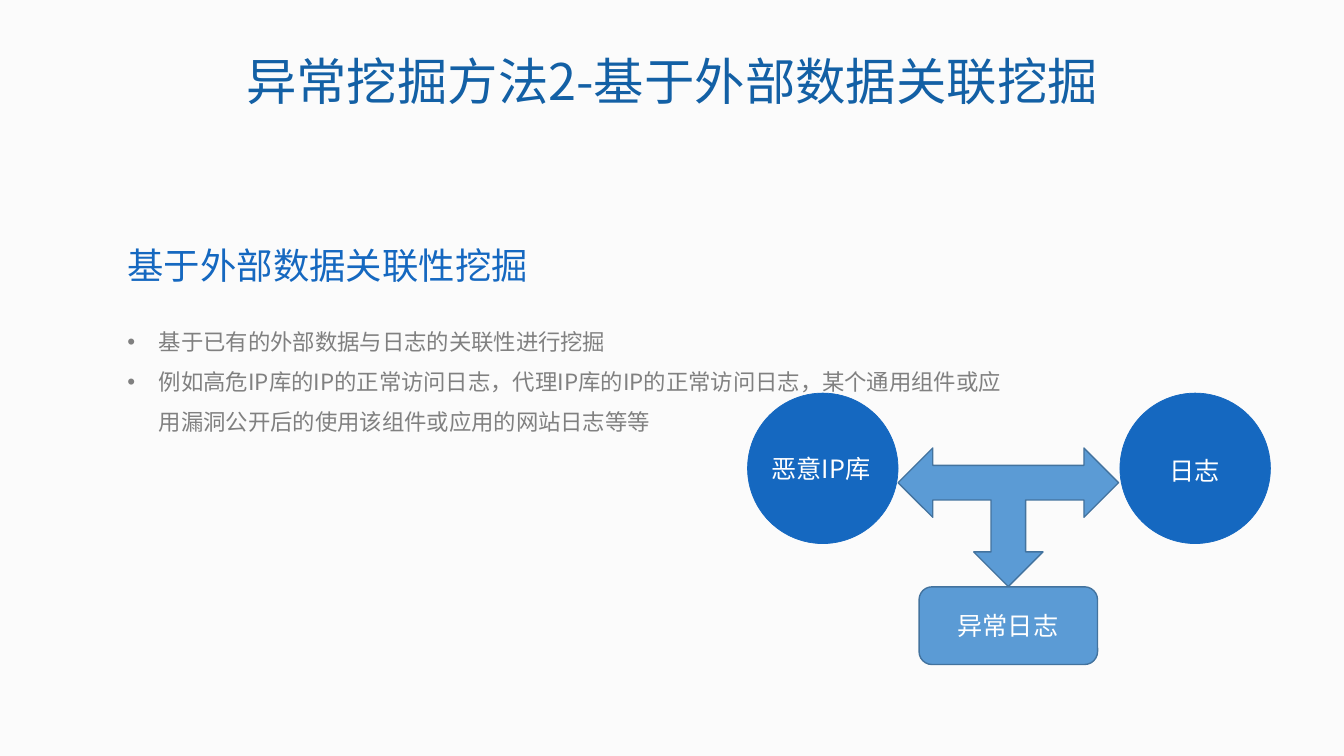
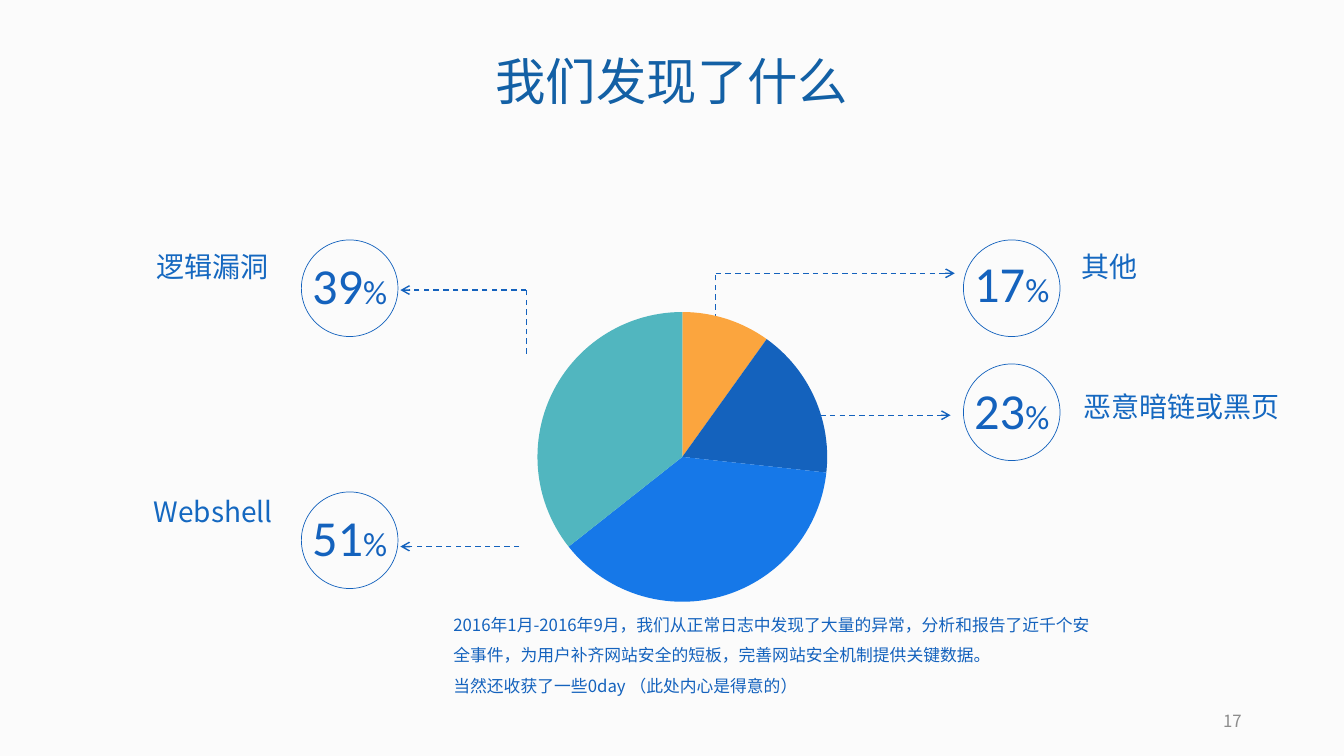
import dataclasses

import pptx
import pptx.chart.data
import pptx.dml.color
import pptx.enum.chart
import pptx.enum.dml
import pptx.enum.shapes
import pptx.enum.text
import pptx.oxml
import pptx.oxml.ns
import pptx.util

Pt = pptx.util.Pt
Align = pptx.enum.text.PP_ALIGN
Anchor = pptx.enum.text.MSO_ANCHOR
Shape = pptx.enum.shapes.MSO_SHAPE


@dataclasses.dataclass(frozen=True)
class Theme:
    background: str = "FBFBFB"
    title: str = "1360A5"
    primary: str = "1568C0"
    accent: str = "1462BD"
    result: str = "5B9BD5"
    result_edge: str = "43739E"
    body: str = "808080"
    footer: str = "8C8C8C"
    white: str = "FFFFFF"
    slices: tuple = ("FBA53E", "1462BD", "1678E8", "51B6BF")
    font: str = "Noto Sans CJK SC"
    number_font: str = "Calibri"
    title_size: int = 36
    heading_size: int = 26
    percent_sign_size: int = 24
    label_size: int = 20
    node_size: int = 18
    body_size: int = 16
    note_size: int = 12


THEME = Theme()


def rgb(color):
    return pptx.dml.color.RGBColor.from_string(color)


def add_xml(parent, tag, **attributes):
    element = pptx.oxml.parse_xml(f"<a:{tag} {pptx.oxml.ns.nsdecls('a')}/>")
    for name, value in attributes.items():
        element.set(name, str(value))
    parent.append(element)
    return element


def style_run(run, size, color, font=THEME.font):
    run.font.size = Pt(size)
    run.font.color.rgb = rgb(color)
    run.font.name = font
    add_xml(run.font._element, "ea", typeface=font)


def add_text(slide, box, lines, size, color, align=Align.LEFT,
             anchor=Anchor.TOP, spacing=None, wrap=True):
    frame = slide.shapes.add_textbox(*map(Pt, box)).text_frame
    frame.text = lines
    frame.word_wrap = wrap
    frame.vertical_anchor = anchor
    for paragraph in frame.paragraphs:
        paragraph.alignment = align
        paragraph.line_spacing = spacing
        for run in paragraph.runs:
            style_run(run, size, color)
    return frame


def add_figure(slide, kind, box, fill, edge, width):
    figure = slide.shapes.add_shape(kind, *map(Pt, box))
    figure.shadow.inherit = False
    if fill:
        figure.fill.solid()
        figure.fill.fore_color.rgb = rgb(fill)
    else:
        figure.fill.background()
    figure.line.color.rgb = rgb(edge)
    figure.line.width = Pt(width)
    return figure


def add_leader(slide, *points):
    for index, (start, end) in enumerate(zip(points, points[1:]), 1):
        leader = slide.shapes.add_connector(
            pptx.enum.shapes.MSO_CONNECTOR.STRAIGHT, *map(Pt, start + end))
        leader.line.color.rgb = rgb(THEME.accent)
        leader.line.width = Pt(1)
        leader.line.dash_style = pptx.enum.dml.MSO_LINE.DASH
        if index == len(points) - 1:
            add_xml(leader.line._get_or_add_ln(), "tailEnd", type="arrow")
        add_xml(leader._element.spPr, "effectLst")


def add_percent(slide, left, top, drop, value):
    diameter = 69
    add_figure(slide, Shape.OVAL, (left, top, diameter, diameter),
               None, THEME.accent, 0.5)
    frame = add_text(slide, (left, top + drop, diameter, 51), value,
                     THEME.title_size, THEME.accent, Align.CENTER, wrap=False)
    paragraph = frame.paragraphs[0]
    paragraph.add_run().text = "%"
    sizes = (THEME.title_size, THEME.percent_sign_size)
    for run, size in zip(paragraph.runs, sizes):
        for east_asian in run.font._element.findall(pptx.oxml.ns.qn("a:ea")):
            run.font._element.remove(east_asian)
        style_run(run, size, THEME.accent, THEME.number_font)


def add_bullets(frame, items):
    for item in items:
        paragraph = frame.add_paragraph()
        paragraph.text = item
        paragraph.line_spacing = 1.5
        style_run(paragraph.runs[0], THEME.body_size, THEME.body)
        properties = paragraph._p.get_or_add_pPr()
        properties.set("marL", str(Pt(22.5)))
        properties.set("indent", str(-Pt(22.5)))
        add_xml(properties, "buFont", typeface="Arial")
        add_xml(properties, "buChar", char="•")


def add_pie(slide, box, values):
    data = pptx.chart.data.CategoryChartData()
    data.categories = [str(number) for number in range(1, len(values) + 1)]
    data.add_series("Series 1", values)
    chart = slide.shapes.add_chart(
        pptx.enum.chart.XL_CHART_TYPE.PIE, *map(Pt, box), data).chart
    chart.has_legend = False
    chart.has_title = False
    chart.font.name = THEME.number_font
    chart.font.size = Pt(THEME.node_size)
    chart.font.color.rgb = rgb("000000")
    plot = chart.plots[0]
    plot.vary_by_categories = True
    for index, color in enumerate(THEME.slices):
        slice_format = plot.series[0].points[index].format
        slice_format.fill.solid()
        slice_format.fill.fore_color.rgb = rgb(color)
        slice_format.line.fill.background()
    set_plot_area(chart, 0.2, 0.04, 0.61, 0.91)


def set_plot_area(chart, x, y, w, h):
    area = chart._chartSpace.chart.plotArea
    for old in area.findall(pptx.oxml.ns.qn("c:layout")):
        area.remove(old)
    places = "".join(f'<c:{name} val="{value}"/>' for name, value in
                     (("x", x), ("y", y), ("w", w), ("h", h)))
    area.insert(0, pptx.oxml.parse_xml(
        f"<c:layout {pptx.oxml.ns.nsdecls('c')}><c:manualLayout>"
        '<c:layoutTarget val="inner"/><c:xMode val="edge"/>'
        f'<c:yMode val="edge"/>{places}</c:manualLayout></c:layout>'))


def add_slide(deck, title):
    slide = deck.slides.add_slide(deck.slide_layouts[6])
    slide.background.fill.solid()
    slide.background.fill.fore_color.rgb = rgb(THEME.background)
    add_text(slide, (66, 28.8, 828, 62.6), title, THEME.title_size,
             THEME.title, Align.CENTER, Anchor.MIDDLE, 0.9)
    return slide


def build_correlation(deck):
    slide = add_slide(deck, "异常挖掘方法2-基于外部数据关联挖掘")
    frame = add_text(slide, (84, 170, 648, 165), "基于外部数据关联性挖掘",
                     THEME.heading_size, THEME.primary)
    frame.paragraphs[0].space_after = Pt(20)
    add_bullets(frame, (
        "基于已有的外部数据与日志的关联性进行挖掘",
        "例如高危IP库的IP的正常访问日志，代理IP库的IP的正常访问日志，"
        "某个通用组件或应用漏洞公开后的使用该组件或应用的网站日志等等",
    ))
    for left in (534, 800):
        add_figure(slide, Shape.OVAL, (left, 280.8, 107.5, 107.5),
                   THEME.primary, THEME.primary, 0.5)
    arrow = add_figure(slide, Shape.LEFT_RIGHT_UP_ARROW,
                       (641.5, 320, 157.5, 99),
                       THEME.result, THEME.result_edge, 1)
    arrow.rotation = 180
    add_figure(slide, Shape.ROUNDED_RECTANGLE, (656.5, 419.2, 127.5, 55.5),
               THEME.result, THEME.result_edge, 1)
    for box, label, wrap in (
        ((544, 320.4, 87, 29), "恶意IP库", True),
        ((828, 321.8, 51, 29), "日志", False),
        ((676.8, 432.7, 87, 29), "异常日志", False),
    ):
        add_text(slide, box, label, THEME.node_size, THEME.white, wrap=wrap)


def build_findings(deck):
    slide = add_slide(deck, "我们发现了什么")
    add_text(slide, (678, 500.5, 216, 28.8), "17", THEME.note_size,
             THEME.footer, Align.RIGHT, Anchor.MIDDLE)
    for route in (
        ((511.2, 242), (511.2, 195.2), (682, 195.2)),
        ((558, 296.6), (679, 296.6)),
        ((376, 252.7), (376, 207.2), (286, 207.2)),
        ((371, 390.4), (286, 390.4)),
    ):
        add_leader(slide, *route)
    for left, top, drop, value in (
        (688.2, 171.4, 5, "17"),
        (688.2, 260, 7, "23"),
        (215.3, 171.4, 6.5, "39"),
        (215.3, 351.4, 6.5, "51"),
    ):
        add_percent(slide, left, top, drop, value)
    for left, top, width, label, align in (
        (765.4, 175, 105, "其他", Align.LEFT),
        (766.8, 275, 185, "恶意暗链或黑页", Align.LEFT),
        (94, 175, 105, "逻辑漏洞", Align.RIGHT),
        (97, 350, 105, "Webshell", Align.RIGHT),
    ):
        add_text(slide, (left, top, width, 31.5), label,
                 THEME.label_size, THEME.primary, align)
    add_text(slide, (316.8, 428.4, 473, 72.7),
             "2016年1月-2016年9月，我们从正常日志中发现了大量的异常，"
             "分析和报告了近千个安全事件，为用户补齐网站安全的短板，"
             "完善网站安全机制提供关键数据。\n"
             "当然还收获了一些0day （此处内心是得意的）",
             THEME.note_size, THEME.accent, spacing=1.5)
    add_pie(slide, (315.4, 213.8, 340.6, 227.5), (10, 17, 38, 36))


def main():
    deck = pptx.Presentation()
    deck.slide_width = Pt(960)
    deck.slide_height = Pt(540)
    build_correlation(deck)
    build_findings(deck)
    deck.save("out.pptx")


if __name__ == "__main__":
    main()
